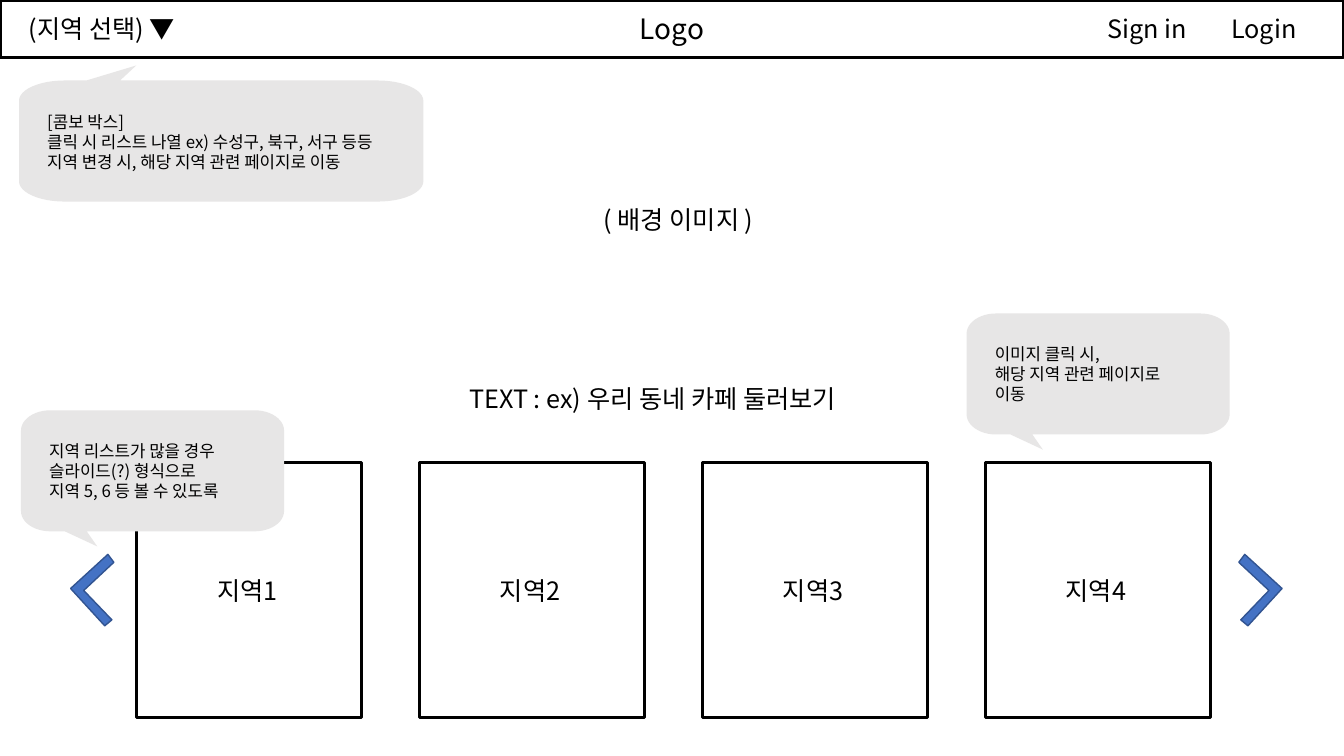
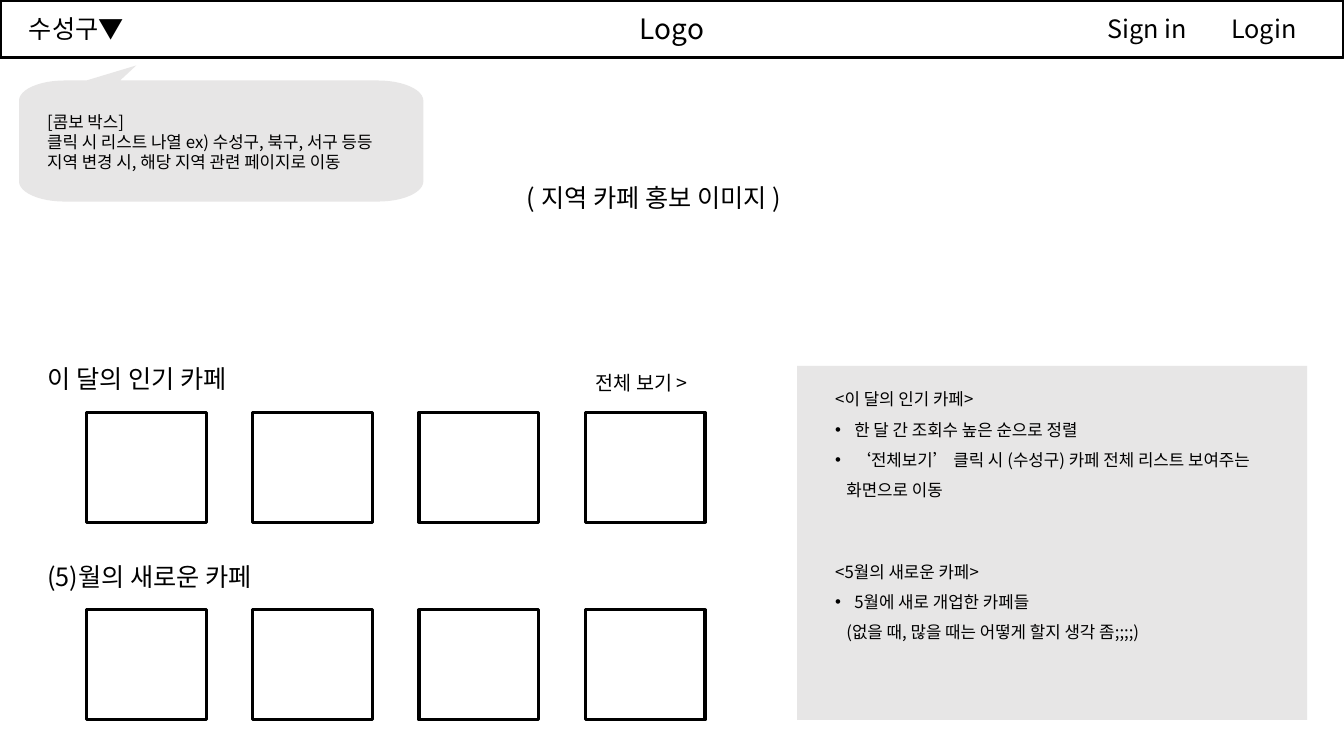
"""Build two wireframe slides for a neighbourhood cafe site."""
import math
from dataclasses import dataclass

from lxml import etree
from pptx import Presentation
from pptx.dml.color import RGBColor
from pptx.enum import shapes as kinds, text as txt
from pptx.oxml import ns
from pptx import util as u

BLACK = RGBColor(0x00, 0x00, 0x00)
NOTE_GREY = RGBColor(0xE7, 0xE6, 0xE6)
ARROW_BLUE = RGBColor(0x44, 0x72, 0xC4)
ARROW_EDGE = RGBColor(0x32, 0x54, 0x91)
FONT = "Noto Sans CJK KR"
PAGE_WIDTH, PAGE_HEIGHT = 33.87, 19.05
HEADER_HEIGHT = 1.45
BUBBLE_HEIGHT, TAIL_HEIGHT, CORNER_HEIGHT = 3.05, 0.38, 0.51
CORNER_STEPS = 12


@dataclass(frozen=True)
class Box:
    left: float
    top: float
    width: float
    height: float

    def emu(self) -> tuple[u.Length, ...]:
        return tuple(u.Cm(n) for n in (self.left, self.top, self.width, self.height))


@dataclass(frozen=True)
class Line:
    words: str
    bullet: bool = False
    indent: float = 0
    spacing: float | None = None
    tab: float | None = None


@dataclass(frozen=True)
class Label:
    box: Box
    lines: tuple[Line, ...]
    size: int = 18
    wrap: bool = False


@dataclass(frozen=True)
class Bubble:
    left: float
    top: float
    width: float
    text_drop: float
    text_width: float
    lines: tuple[Line, ...]
    tail_up: bool = False


@dataclass(frozen=True)
class CardRow:
    first: Box
    pitch: float
    count: int = 4

    def boxes(self) -> list[Box]:
        card = self.first
        return [Box(card.left + i * self.pitch, card.top, card.width, card.height)
                for i in range(self.count)]


def one_line(words: str, left: float, top: float, width: float,
             height: float = 1.03, size: int = 18, wrap: bool = False) -> Label:
    return Label(Box(left, top, width, height), (Line(words),), size, wrap)


def add_words(paragraph, words: str, size: int) -> None:
    run = paragraph.add_run()
    run.text = words
    run.font.size = u.Pt(size)
    run.font.color.rgb = BLACK
    run.font.name = FONT
    etree.SubElement(run.font._element, ns.qn("a:ea"), typeface=FONT)


def format_line(paragraph, line: Line) -> None:
    if line.spacing:
        paragraph.line_spacing = line.spacing
    props = paragraph._p.get_or_add_pPr()
    if line.indent:
        props.set("marL", str(u.Cm(line.indent)))
    if line.bullet:
        props.set("indent", str(-u.Cm(line.indent)))
        etree.SubElement(props, ns.qn("a:buFont"), typeface="Arial")
        etree.SubElement(props, ns.qn("a:buChar"), char="•")
    if line.tab:
        stops = etree.SubElement(props, ns.qn("a:tabLst"))
        etree.SubElement(stops, ns.qn("a:tab"), pos=str(u.Cm(line.tab)), algn="l")


def draw_label(parts, label: Label) -> None:
    frame = parts.add_textbox(*label.box.emu()).text_frame
    frame.word_wrap = label.wrap
    frame.auto_size = txt.MSO_AUTO_SIZE.SHAPE_TO_FIT_TEXT
    for i, line in enumerate(label.lines):
        paragraph = frame.add_paragraph() if i else frame.paragraphs[0]
        format_line(paragraph, line)
        add_words(paragraph, line.words, label.size)


def draw_frame(parts, box: Box):
    frame = parts.add_shape(kinds.MSO_SHAPE.RECTANGLE, *box.emu())
    frame.shadow.inherit = False
    frame.fill.background()
    frame.line.color.rgb = BLACK
    frame.line.width = u.Pt(2.25)
    return frame


def draw_outline(parts, points: list[tuple[float, float]], fill: RGBColor):
    start, *rest = [(u.Cm(x), u.Cm(y)) for x, y in points]
    pen = parts.build_freeform(*start)
    pen.add_line_segments(rest, close=True)
    outline = pen.convert_to_shape()
    outline.shadow.inherit = False
    outline.fill.solid()
    outline.fill.fore_color.rgb = fill
    outline.line.fill.background()
    return outline


def bubble_points(bubble: Bubble) -> list[tuple[float, float]]:
    width, height = bubble.width, BUBBLE_HEIGHT
    rx, ry = width * 0.112, CORNER_HEIGHT
    points = [(width / 6, 0), (width * 0.29, -TAIL_HEIGHT), (width / 4, 0)]
    corners = [(width - rx, ry, -90), (width - rx, height - ry, 0),
               (rx, height - ry, 90), (rx, ry, 180)]
    for cx, cy, start in corners:
        for step in range(CORNER_STEPS + 1):
            angle = math.radians(start + 90 * step / CORNER_STEPS)
            points.append((cx + rx * math.cos(angle), cy + ry * math.sin(angle)))
    return [(bubble.left + x, bubble.top + (y if bubble.tail_up else height - y))
            for x, y in points]


def draw_bubble(parts, bubble: Bubble) -> None:
    group = parts.add_group_shape().shapes
    draw_outline(group, bubble_points(bubble), NOTE_GREY)
    draw_label(group, Label(Box(bubble.left + 0.46, bubble.top + bubble.text_drop,
                                bubble.text_width, 1.8), bubble.lines, 12))


def draw_arrow(parts, mirrored: bool) -> None:
    left_arrow = [(2.72, 13.97), (2.87, 14.17), (2.11, 14.88),
                  (2.82, 15.62), (2.64, 15.77), (1.78, 14.83)]
    points = [(34.09 - x if mirrored else x, y) for x, y in left_arrow]
    arrow = draw_outline(parts, points, ARROW_BLUE)
    arrow.line.color.rgb = ARROW_EDGE
    arrow.line.width = u.Pt(1)


def draw_header(parts, region: Label) -> None:
    header = draw_frame(parts, Box(0, 0, PAGE_WIDTH, HEADER_HEIGHT))
    header.text_frame.vertical_anchor = txt.MSO_ANCHOR.MIDDLE
    logo = header.text_frame.paragraphs[0]
    logo.alignment = txt.PP_ALIGN.CENTER
    add_words(logo, "Logo", 20)
    draw_label(parts, region)
    draw_label(parts, Label(Box(27.66, 0.2, 5.94, 1.03),
                            (Line("Sign in\tLogin", tab=3.12),)))


def draw_notes(parts, panel: Box, notes: tuple[Label, ...]) -> None:
    group = parts.add_group_shape().shapes
    backdrop = draw_frame(group, panel)
    backdrop.fill.solid()
    backdrop.fill.fore_color.rgb = NOTE_GREY
    backdrop.line.fill.background()
    for note in notes:
        draw_label(group, note)


COMBO_BUBBLE = Bubble(0.48, 2.03, 10.19, 0.66, 9.73, (
    Line("[콤보 박스]"),
    Line("클릭 시 리스트 나열 ex) 수성구, 북구, 서구 등등"),
    Line("지역 변경 시, 해당 지역 관련 페이지로 이동")), tail_up=True)
SLIDER_BUBBLE = Bubble(0.53, 10.34, 6.63, 0.64, 5.41, (
    Line("지역 리스트가 많을 경우"),
    Line("슬라이드(?) 형식으로"),
    Line("지역 5, 6 등 볼 수 있도록")))
CLICK_BUBBLE = Bubble(24.36, 7.9, 6.63, 0.64, 5.23, (
    Line("이미지 클릭 시,"),
    Line("해당 지역 관련 페이지로"),
    Line("이동")))
REGION_CARDS = CardRow(Box(3.45, 11.66, 5.66, 6.43), 7.13)
NOTES = (
    Label(Box(20.8, 9.68, 11.58, 2.97), (
        Line("<이 달의 인기 카페>"),
        Line("한 달 간 조회수 높은 순으로 정렬", True, 0.48, 1.5),
        Line("‘전체보기’ 클릭 시 (수성구) 카페 전체 리스트 보여주는", True, 0.48, 1.5),
        Line("화면으로 이동", indent=0.28, spacing=1.5)), 12),
    Label(Box(20.8, 14.02, 9.32, 2.21), (
        Line("<5월의 새로운 카페>"),
        Line("5월에 새로 개업한 카페들", True, 0.48, 1.5),
        Line("(없을 때, 많을 때는 어떻게 할지 생각 좀;;;;)", indent=0.28, spacing=1.5)), 12),
)
CAFE_SECTIONS = (
    one_line("이 달의 인기 카페", 0.94, 9.04, 5.69),
    one_line("(5)월의 새로운 카페", 0.94, 14.02, 6.2),
)


def build_main_page(parts) -> None:
    draw_header(parts, one_line("(지역 선택) ▼", 0.48, 0.2, 4.57))
    for number, card in enumerate(REGION_CARDS.boxes(), 1):
        draw_frame(parts, card)
        draw_label(parts, one_line(f"지역{number}", card.left + 1.77, 14.38, 2.08, wrap=True))
    draw_label(parts, one_line("TEXT : ex) 우리 동네 카페 둘러보기", 11.58, 9.53, 10.69))
    draw_label(parts, one_line("( 배경 이미지 )", 14.96, 5.03, 4.8))
    for mirrored in (False, True):
        draw_arrow(parts, mirrored)
    for bubble in (COMBO_BUBBLE, SLIDER_BUBBLE, CLICK_BUBBLE):
        draw_bubble(parts, bubble)


def build_region_page(parts) -> None:
    draw_header(parts, one_line("수성구▼", 0.48, 0.2, 3.07))
    draw_label(parts, one_line("( 지역 카페 홍보 이미지 )", 13.03, 4.47, 7.82))
    draw_bubble(parts, COMBO_BUBBLE)
    for section in CAFE_SECTIONS:
        draw_label(parts, section)
        first_card = Box(2.18, section.box.top + 1.35, 3.02, 2.77)
        for card in CardRow(first_card, 4.19).boxes():
            draw_frame(parts, card)
    draw_label(parts, one_line("전체 보기 >", 14.76, 9.22, 3.2, 0.86, 14))
    draw_notes(parts, Box(20.09, 9.22, 12.85, 8.92), NOTES)


def main() -> None:
    deck = Presentation()
    deck.slide_width, deck.slide_height = u.Cm(PAGE_WIDTH), u.Cm(PAGE_HEIGHT)
    for build_page in (build_main_page, build_region_page):
        build_page(deck.slides.add_slide(deck.slide_layouts[6]).shapes)
    deck.save("out.pptx")


main()
